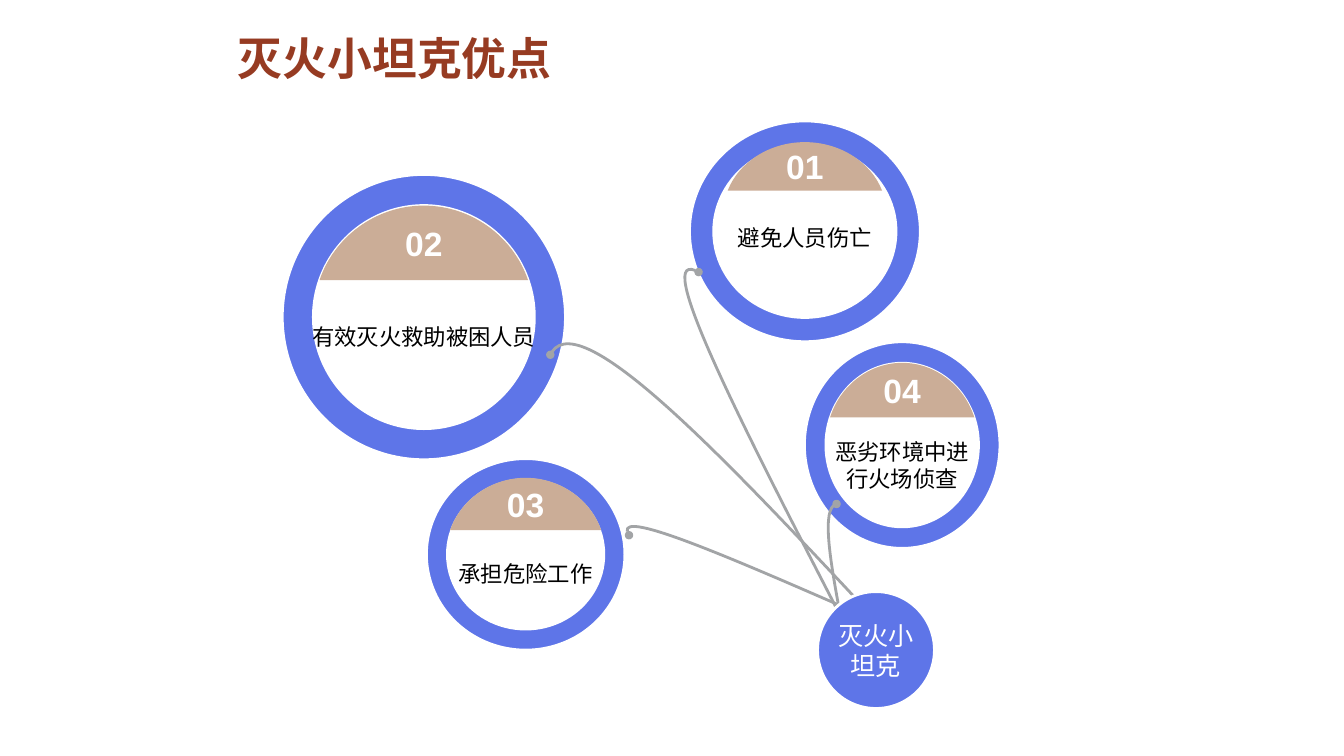
from lxml import etree
from pptx import Presentation
from pptx.dml.color import RGBColor
from pptx.enum.shapes import MSO_SHAPE
from pptx.enum.text import MSO_ANCHOR, PP_ALIGN
from pptx.oxml.ns import qn
from pptx.util import Pt

DONUT, OVAL = MSO_SHAPE.DONUT, MSO_SHAPE.OVAL
LEFT, CENTER = PP_ALIGN.LEFT, PP_ALIGN.CENTER
MIDDLE, BOTTOM = MSO_ANCHOR.MIDDLE, MSO_ANCHOR.BOTTOM

BLUE, TAN, GRAY = "5E75E8", "CBAD97", "A2A4A6"
WHITE, BLACK, BROWN = "FFFFFF", "000000", "963B22"

TITLE = "灭火小坦克优点"
HUB = "灭火小坦克"
# number, text, ring box, cap (drop, width, height), text drop, wrap, link points
ADVANTAGES = [
    ("03", "承担危险工作", (304.6, 327.6, 141.8, 136.8), (13.7, 108, 37.4), 28, True,
     [(617, 439.9), (526.3, 400.3), (435.6, 360.7), (449.3, 382.3)]),
    ("02", "有效灭火救助被困人员", (201.6, 124.6, 202.3, 203.8), (22.3, 149, 53.3), 28, False,
     [(643, 461.5), (527.8, 337.7), (412.6, 213.1), (393.1, 253.4)]),
    ("01", "避免人员伤亡", (492.5, 86.4, 164.9, 157.7), (15.1, 110.2, 34.6), 9, True,
     [(605.5, 450), (534.2, 311.8), (463, 174.2), (499, 194.4)]),
    ("04", "恶劣环境中进行火场侦查", (574.6, 244.1, 139.7, 147.6), (15.1, 103, 38.9), 28, True,
     [(602.6, 451.4), (594, 406.8), (586.1, 362.2), (597.6, 360)]),
]
CAP_CURVE = [(0, 1), (0.07, 0.42), (0.27, 0), (0.5, 0), (0.73, 0), (0.93, 0.42), (1, 1)]


def color(value):
    return RGBColor.from_string(value)


def write(sp, text, size, hue, bold=False, align=CENTER, anchor=MIDDLE,
          inset=(0, 0, 0, 0), wrap=True, spacing=None):
    tf = sp.text_frame
    tf.word_wrap = wrap
    tf.vertical_anchor = anchor
    tf.margin_left, tf.margin_top, tf.margin_right, tf.margin_bottom = map(Pt, inset)
    p = tf.paragraphs[0]
    p.alignment = align
    if spacing:
        p.line_spacing = spacing
    r = p.add_run()
    r.text = text
    r.font.name = "Arial"
    r.font.size = Pt(size)
    r.font.bold = bold
    r.font.color.rgb = color(hue)


def add_round(s, kind, box):
    sp = s.shapes.add_shape(kind, *map(Pt, box))
    sp.shadow.inherit = False
    sp.fill.solid()
    sp.fill.fore_color.rgb = color(BLUE)
    sp.line.color.rgb = color(WHITE)
    sp.line.width = Pt(2)
    return sp


def add_curve(s, points, close):
    start, *rest = [(Pt(x), Pt(y)) for x, y in points]
    builder = s.shapes.build_freeform(*start)
    builder.add_line_segments(rest, close=close)
    sp = builder.convert_to_shape()
    sp.shadow.inherit = False
    segments = sp._element.xpath(".//a:lnTo")
    for i in range(0, len(segments), 3):
        first, *others = segments[i:i + 3]
        first.tag = qn("a:cubicBezTo")
        for segment in others:
            first.append(segment[0])
            segment.getparent().remove(segment)
    return sp


def add_cap(s, box, number):
    x, y, w, h = box
    sp = add_curve(s, [(x + w * u, y + h * v) for u, v in CAP_CURVE], True)
    sp.fill.solid()
    sp.fill.fore_color.rgb = color(TAN)
    sp.line.fill.background()
    write(sp, number, 24, WHITE, bold=True)


def add_link(s, points):
    sp = add_curve(s, points, False)
    sp.fill.background()
    sp.line.color.rgb = color(GRAY)
    sp.line.width = Pt(2)
    ln = sp._element.spPr.find(qn("a:ln"))
    for end in ("a:headEnd", "a:tailEnd"):
        etree.SubElement(ln, qn(end), type="oval")


def add_advantage(s, box, number, text, cap, text_drop, wrap):
    x, y, w, h = box
    drop, cap_w, cap_h = cap
    ring = add_round(s, DONUT, box)
    ring.adjustments[0] = 0.11
    write(ring, text, 16, BLACK, inset=(0, text_drop, 0, 0), wrap=wrap)
    add_cap(s, (x + (w - cap_w) / 2, y + drop, cap_w, cap_h), number)


def add_hub(s, box):
    write(add_round(s, OVAL, box), HUB, 18, WHITE)


def add_title(s, box):
    sp = s.shapes.title
    sp.left, sp.top, sp.width, sp.height = map(Pt, box)
    write(sp, TITLE, 32, BROWN, bold=True, align=LEFT, anchor=BOTTOM,
          inset=(7.2, 3.6, 7.2, 3.6), spacing=0.9)


def main():
    prs = Presentation()
    prs.slide_width, prs.slide_height = Pt(960), Pt(540)
    s = prs.slides.add_slide(prs.slide_layouts[5])
    add_title(s, (162.7, 9.4, 640, 55.4))
    for number, text, box, cap, text_drop, wrap, link in ADVANTAGES:
        add_advantage(s, box, number, text, cap, text_drop, wrap)
        add_link(s, link)
    add_hub(s, (584, 422.6, 83.5, 83.5))
    prs.save("out.pptx")


if __name__ == "__main__":
    main()
